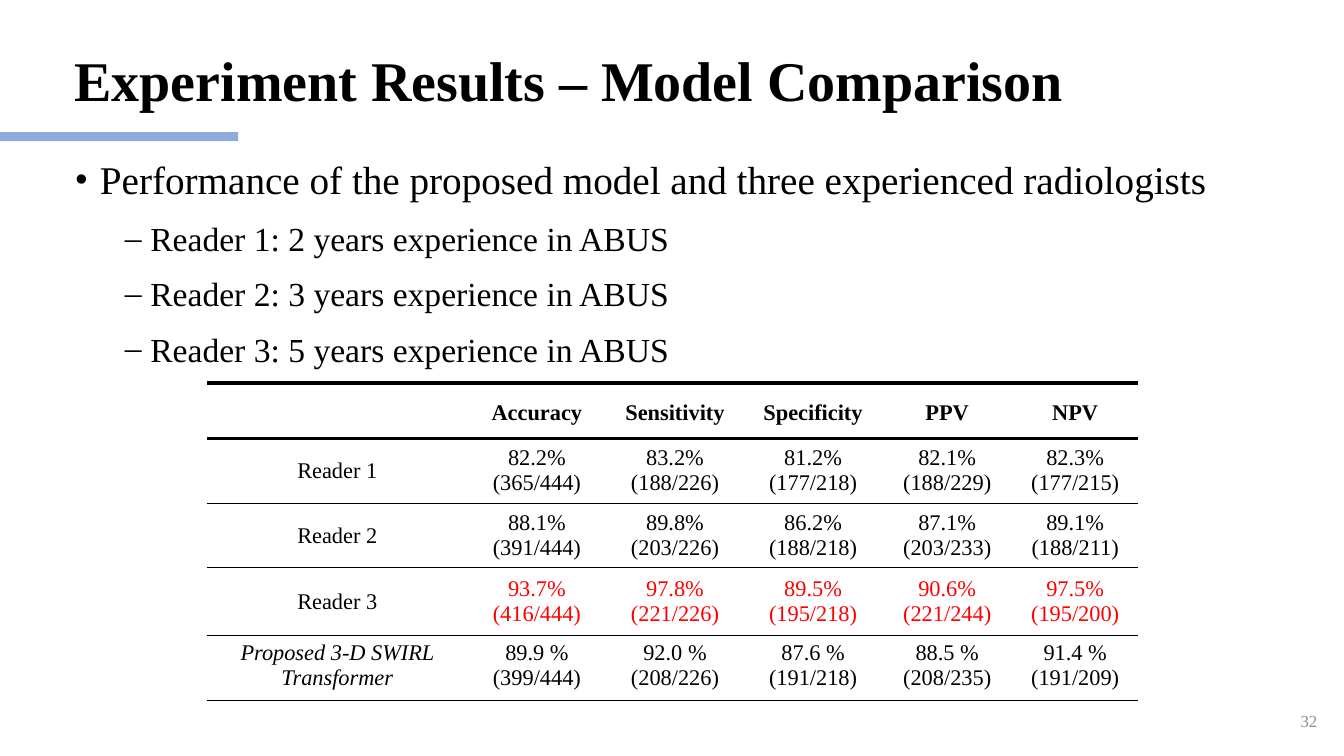
"""Build a slide comparing the proposed model with three radiologists."""
from lxml.etree import SubElement
from pptx import Presentation
from pptx.dml.color import RGBColor
from pptx.enum.shapes import MSO_SHAPE
from pptx.enum.text import MSO_ANCHOR, PP_ALIGN
from pptx.oxml import parse_xml
from pptx.oxml.ns import nsdecls, qn
from pptx.util import Cm, Pt

FONT = "Times New Roman"
COLORS = {"text": "000000", "accent": "8FAADC", "number": "8C8C8C", "best": "FF0000"}
NO_STYLE = "{2D5ABB26-0587-4C30-8999-92F81FD0307C}"
BULLETS = [
    (0, "Performance of the proposed model and three experienced radiologists"),
    (1, "Reader 1: 2 years experience in ABUS"),
    (1, "Reader 2: 3 years experience in ABUS"),
    (1, "Reader 3: 5 years experience in ABUS"),
]
LEVELS = [
    {"mark": "•", "size": 28, "margin": 0.64, "before": 0},
    {"mark": "‒", "size": 24, "margin": 1.91, "before": 5},
]
HEADINGS = ["", "Accuracy", "Sensitivity", "Specificity", "PPV", "NPV"]
RESULTS = [
    ["Reader 1", "82.2%\n(365/444)", "83.2%\n(188/226)", "81.2%\n(177/218)",
     "82.1%\n(188/229)", "82.3%\n(177/215)"],
    ["Reader 2", "88.1%\n(391/444)", "89.8%\n(203/226)", "86.2%\n(188/218)",
     "87.1%\n(203/233)", "89.1%\n(188/211)"],
    ["Reader 3", "93.7%\n(416/444)", "97.8%\n(221/226)", "89.5%\n(195/218)",
     "90.6%\n(221/244)", "97.5%\n(195/200)"],
    ["Proposed 3-D SWIRL Transformer", "89.9 %\n(399/444)", "92.0 %\n(208/226)",
     "87.6 %\n(191/218)", "88.5 %\n(208/235)", "91.4 %\n(191/209)"],
]
COLUMN_WIDTHS = [6.58, 3.48, 3.48, 3.48, 3.28, 3.17]
ROW_HEIGHTS = [1.4, 1.63, 1.63, 1.7, 1.65]


def add_run(paragraph, text, size, color="text", bold=False, italic=False):
    """Append one formatted run to a paragraph."""
    run = paragraph.add_run()
    run.text = text
    font = run.font
    font.name, font.size, font.bold, font.italic = FONT, Pt(size), bold, italic
    font.color.rgb = RGBColor.from_string(COLORS[color])


def add_text_frame(slide, left, top, width, height, anchor):
    """Add a wrapping text box and return its text frame."""
    box = slide.shapes.add_textbox(Cm(left), Cm(top), Cm(width), Cm(height))
    frame = box.text_frame
    frame.word_wrap = True
    frame.vertical_anchor = anchor
    return frame


def add_accent_bar(slide):
    """Draw the bar below the title."""
    bar = slide.shapes.add_shape(MSO_SHAPE.RECTANGLE, 0, Cm(3.33), Cm(6), Cm(0.23))
    bar.shadow.inherit = False
    bar.fill.solid()
    bar.fill.fore_color.rgb = RGBColor.from_string(COLORS["accent"])
    bar.line.fill.background()


def add_title(slide, text):
    """Add the slide title."""
    frame = add_text_frame(slide, 1.63, 0.64, 27.3, 2.92, MSO_ANCHOR.MIDDLE)
    paragraph = frame.paragraphs[0]
    paragraph.line_spacing = 0.9
    add_run(paragraph, text, 40, bold=True)


def add_bullets(slide, bullets):
    """Add the two-level bullet list."""
    frame = add_text_frame(slide, 1.63, 3.56, 30.6, 6, MSO_ANCHOR.TOP)
    for index, (level, text) in enumerate(bullets):
        paragraph = frame.add_paragraph() if index else frame.paragraphs[0]
        style = LEVELS[level]
        properties = paragraph._p.get_or_add_pPr()
        properties.set("marL", str(Cm(style["margin"])))
        properties.set("indent", str(Cm(-0.64)))
        SubElement(properties, qn("a:buFont")).set("typeface", FONT)
        SubElement(properties, qn("a:buChar")).set("char", style["mark"])
        paragraph.level = level
        paragraph.alignment = PP_ALIGN.JUSTIFY
        paragraph.line_spacing = 1.2
        paragraph.space_before = Pt(style["before"])
        add_run(paragraph, text, style["size"])


def set_borders(cell, top, bottom):
    """Rule a cell above and below with widths in points."""
    properties = cell._tc.get_or_add_tcPr()
    widths = {"lnL": 0, "lnR": 0, "lnT": top, "lnB": bottom}
    for position, (side, width) in enumerate(widths.items()):
        fill = (f'<a:solidFill><a:srgbClr val="{COLORS["text"]}"/></a:solidFill>'
                if width else "<a:noFill/>")
        border = f'<a:{side} {nsdecls("a")} w="{Pt(width)}">{fill}</a:{side}>'
        properties.insert(position, parse_xml(border))


def set_margins(cell, horizontal, vertical):
    """Set the inner margins of a cell in centimetres."""
    cell.margin_left = cell.margin_right = Cm(horizontal)
    cell.margin_top = cell.margin_bottom = Cm(vertical)


def fill_cell(cell, text, spacing=1, **style):
    """Write centred lines into an unfilled cell."""
    cell.fill.background()
    for index, line in enumerate(text.split("\n")):
        frame = cell.text_frame
        paragraph = frame.add_paragraph() if index else frame.paragraphs[0]
        paragraph.alignment = PP_ALIGN.CENTER
        paragraph.line_spacing = spacing
        if line:
            add_run(paragraph, line, 16, **style)


def add_results_table(slide):
    """Add the table of reader and model results."""
    frame = slide.shapes.add_table(len(ROW_HEIGHTS), len(COLUMN_WIDTHS), Cm(5.21), Cm(9.65),
                                   Cm(sum(COLUMN_WIDTHS)), Cm(sum(ROW_HEIGHTS)))
    table = frame.table
    table.first_row = table.horz_banding = False
    table._tbl.tblPr.find(qn("a:tableStyleId")).text = NO_STYLE
    for column, width in zip(table.columns, COLUMN_WIDTHS):
        column.width = Cm(width)
    for row, height in zip(table.rows, ROW_HEIGHTS):
        row.height = Cm(height)
    for column, heading in enumerate(HEADINGS):
        cell = table.cell(0, column)
        fill_cell(cell, heading, spacing=1.5, bold=True)
        set_borders(cell, 3, 3)
    for row, results in enumerate(RESULTS, start=1):
        proposed = row == len(RESULTS)
        for column, text in enumerate(results):
            cell = table.cell(row, column)
            best = results[0] == "Reader 3" and column > 0
            fill_cell(cell, text, color="best" if best else "text",
                      italic=proposed and column == 0)
            set_borders(cell, 3 if row == 1 else 1, 1)
            if not proposed:
                cell.vertical_anchor = MSO_ANCHOR.MIDDLE
                set_margins(cell, 0.18, 0)
            elif column:
                set_margins(cell, 0.43, 0.13)


def add_slide_number(slide, number):
    """Add the slide number at the lower right."""
    frame = add_text_frame(slide, 32.03, 17.65, 1.42, 1.02, MSO_ANCHOR.MIDDLE)
    paragraph = frame.paragraphs[0]
    paragraph.alignment = PP_ALIGN.RIGHT
    add_run(paragraph, number, 12, color="number")


def main():
    """Build and save the presentation."""
    presentation = Presentation()
    presentation.slide_width, presentation.slide_height = Cm(33.87), Cm(19.05)
    slide = presentation.slides.add_slide(presentation.slide_layouts[6])
    add_accent_bar(slide)
    add_title(slide, "Experiment Results – Model Comparison")
    add_bullets(slide, BULLETS)
    add_slide_number(slide, "32")
    add_results_table(slide)
    presentation.save("out.pptx")


if __name__ == "__main__":
    main()
